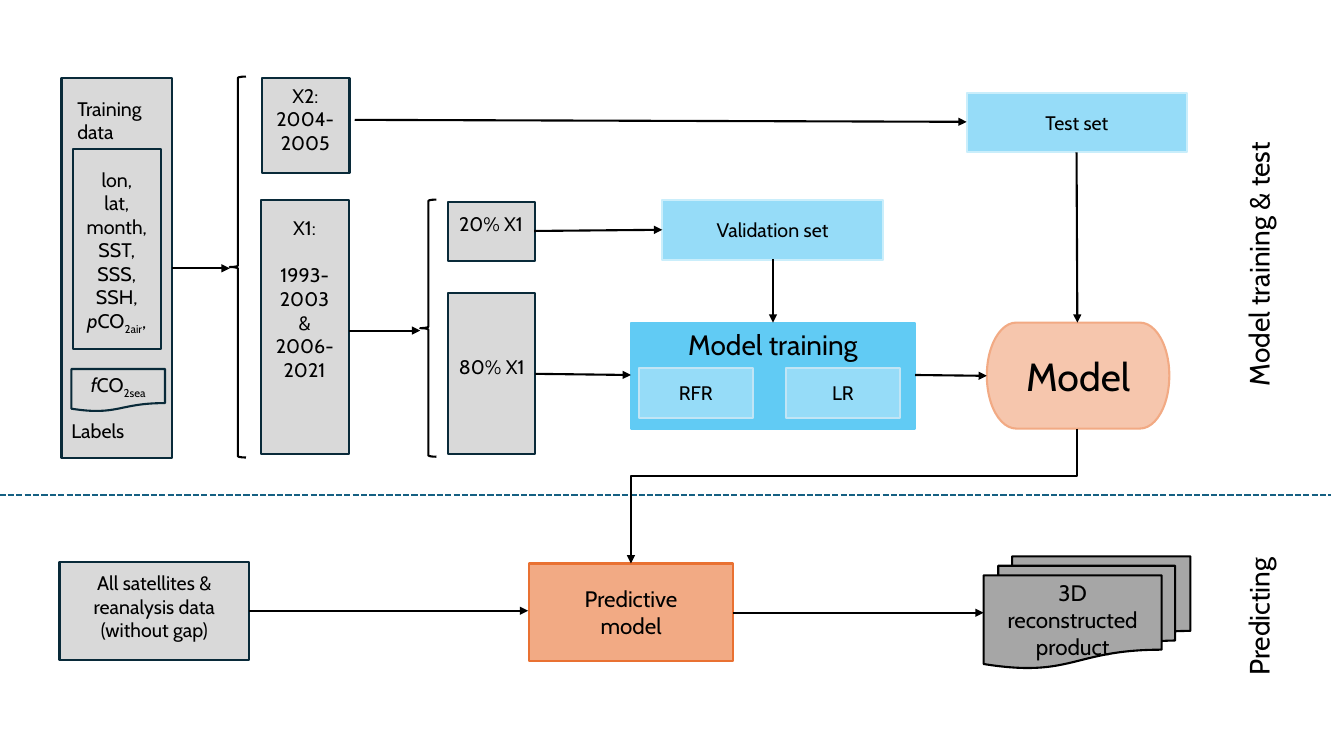
from lxml import etree
from pptx import Presentation
from pptx import util as u
from pptx.dml.color import RGBColor
from pptx.enum import dml, shapes, text
from pptx.oxml.ns import qn

S = shapes.MSO_SHAPE
THEME = {
    "font": "Cabin", "ink": "000000", "line": 1.5,
    "small": 14, "medium": 16, "large": 20, "huge": 28,
    # fill, outline
    "data": ("D9D9D9", "092A39"), "outline": (None, "092A39"),
    "set": ("96DCF8", "CAEEFB"), "method": ("96DCF8", "C1E5F5"),
    "training": ("61CBF4", "61CBF4"), "model": ("F6C6AD", "F2AA84"),
    "predictive": ("F2AA84", "E97132"), "product": ("A6A6A6", "000000"),
    "brace": (None, "000000"), "divider": "156082",
}

# Content, lengths in cm
# preset, (left, top, width, height), style, size, paragraphs
NODES = [
    (S.FLOWCHART_PROCESS, (1.55, 1.96, 2.79, 9.58), "data", "small", []),
    (S.RECTANGLE, (1.85, 3.76, 2.21, 5.03), "outline", "small", []),
    (S.FLOWCHART_DOCUMENT, (1.8, 9.3, 2.36, 1.07), "outline", "small",
     [[("f", "italic"), ("CO", ""), ("2sea", "sub")]]),
    (S.RECTANGLE, (6.58, 5.05, 2.21, 6.4), "data", "small", []),
    (S.RECTANGLE, (6.6, 1.96, 2.21, 2.41), "data", "small", []),
    (S.RECTANGLE, (11.28, 5.08, 2.21, 1.5), "data", "small", []),
    (S.RECTANGLE, (11.28, 7.39, 2.21, 4.06), "data", "small", []),
    (S.FLOWCHART_TERMINATOR, (24.87, 8.13, 4.6, 2.67), "model", "huge", ["Model"]),
    (S.RECTANGLE, (15.9, 8.13, 7.16, 2.67), "training", "large", ["Model training"]),
    (S.FLOWCHART_PROCESS, (16.1, 9.27, 2.87, 1.27), "method", "small", ["RFR"]),
    (S.FLOWCHART_PROCESS, (19.81, 9.27, 2.87, 1.27), "method", "small", ["LR"]),
    (S.RECTANGLE, (16.69, 5.05, 5.56, 1.5), "set", "small", ["Validation set"]),
    (S.RECTANGLE, (24.36, 2.34, 5.56, 1.5), "set", "small", ["Test set"]),
    (S.RECTANGLE, (13.34, 14.2, 5.13, 2.46), "predictive", "medium", ["Predictive", "model"]),
    (S.RECTANGLE, (1.5, 14.17, 4.78, 2.46), "data", "small", []),
    (S.FLOWCHART_MULTIDOCUMENT, (24.79, 14.02, 5.21, 2.82), "product", "medium",
     ["3D reconstructed product"]),
    (S.LEFT_BRACE, (5.79, 1.93, 0.41, 9.6), "brace", "small", []),
    (S.LEFT_BRACE, (10.59, 5.03, 0.41, 6.48), "brace", "small", []),
]
# (left, top, width, height), paragraphs
CENTRED_CAPTIONS = [
    ((1.7, 4.1, 2.49, 4.45),
     ["lon,", "lat,", "month,", "SST,", "SSS,", "SSH,",
      [("p", "italic"), ("CO", ""), ("2air", "sub"), (",", "")]]),
    ((6.43, 5.32, 2.49, 4.45), ["X1:", "1993-2003", "&", "2006-2021"]),
    ((6.45, 1.98, 2.49, 2.06), ["X2:", "2004-", "2005"]),
    ((11.13, 5.21, 2.49, 0.86), ["20% X1"]),
    ((11.15, 8.81, 2.49, 0.86), ["80% X1"]),
    ((1.5, 14.27, 4.78, 2.06), ["All satellites & reanalysis data (without gap)"]),
]
# (left, top, width, height), size, rotation, paragraphs
LEFT_CAPTIONS = [
    ((1.7, 2.31, 2.18, 1.45), "small", 0, ["Training", "data"]),
    ((1.55, 10.44, 1.96, 0.86), "small", 0, ["Labels"]),
    ((28.32, 6.02, 6.81, 1.12), "large", 270, ["Model training & test"]),
    ((29.92, 14.91, 3.61, 1.12), "large", 270, ["Predicting"]),
]
# from x, from y, to x, to y
ARROWS = [
    (8.94, 3.02, 24.36, 3.07), (27.13, 3.84, 27.15, 8.13),
    (6.28, 15.39, 13.31, 15.39), (18.47, 15.44, 24.79, 15.44),
    (13.46, 5.82, 16.69, 5.79), (13.49, 9.42, 15.9, 9.45),
    (23.06, 9.45, 24.87, 9.47), (19.48, 6.53, 19.48, 8.13),
    (4.34, 6.76, 5.79, 6.76), (8.79, 8.33, 10.59, 8.33),
]
MODEL_TO_PREDICTIVE = (27.15, 10.8, 15.9, 14.2)
BEND = 0.35
DIVIDER = (-0.23, 12.47, 33.53, 12.47)

prs = Presentation()
prs.slide_width, prs.slide_height = u.Cm(33.87), u.Cm(19.05)
slide = prs.slides.add_slide(prs.slide_layouts[6])


def cm(lengths):
    return [u.Cm(v) for v in lengths]


def rgb(name):
    return RGBColor.from_string(name)


def write(tf, paragraphs, size, align):
    for i, runs in enumerate(paragraphs):
        p = tf.paragraphs[0] if i == 0 else tf.add_paragraph()
        p.alignment = align
        p.font.name, p.font.size = THEME["font"], u.Pt(THEME[size])
        p.font.color.rgb = rgb(THEME["ink"])
        for part, style in [(runs, "")] if isinstance(runs, str) else runs:
            r = p.add_run()
            r.text = part
            if style == "italic":
                r.font.italic = True
            elif style == "sub":
                r.font._element.set("baseline", "-25000")


def add_caption(box, paragraphs, size, align, wrap):
    sp = slide.shapes.add_textbox(*cm(box))
    tf = sp.text_frame
    tf.word_wrap = wrap
    tf.auto_size = text.MSO_AUTO_SIZE.SHAPE_TO_FIT_TEXT
    write(tf, paragraphs, size, align)
    return sp


def add_line(kind, ends, color, arrow=True):
    line = slide.shapes.add_connector(kind, *cm(ends))
    line.line.color.rgb = rgb(color)
    line.line.width = u.Pt(THEME["line"])
    if arrow:
        etree.SubElement(line.line._get_or_add_ln(), qn("a:tailEnd"), type="triangle")
    etree.SubElement(line._element.spPr, qn("a:effectLst"))
    return line


# Boxes and braces
for preset, box, style, size, paragraphs in NODES:
    sp = slide.shapes.add_shape(preset, *cm(box))
    sp.shadow.inherit = False
    fill, outline = THEME[style]
    if fill:
        sp.fill.solid()
        sp.fill.fore_color.rgb = rgb(fill)
    else:
        sp.fill.background()
    sp.line.color.rgb = rgb(outline)
    sp.line.width = u.Pt(THEME["line"])
    tf = sp.text_frame
    tf.word_wrap = True
    tf.vertical_anchor = text.MSO_ANCHOR.TOP if style == "training" else text.MSO_ANCHOR.MIDDLE
    write(tf, paragraphs, size, text.PP_ALIGN.CENTER)

# Captions
for box, paragraphs in CENTRED_CAPTIONS:
    sp = add_caption(box, paragraphs, "small", text.PP_ALIGN.CENTER, True)
    if paragraphs[0] == "X1:":
        sp.text_frame.paragraphs[1].space_before = u.Pt(17)
for box, size, rotation, paragraphs in LEFT_CAPTIONS:
    add_caption(box, paragraphs, size, text.PP_ALIGN.LEFT, False).rotation = rotation

# Arrows and divider
for ends in ARROWS:
    add_line(shapes.MSO_CONNECTOR.STRAIGHT, ends, THEME["ink"])
divider = add_line(shapes.MSO_CONNECTOR.STRAIGHT, DIVIDER, THEME["divider"], arrow=False)
divider.line.dash_style = dml.MSO_LINE.SQUARE_DOT

# Elbow leaving the model downwards: drawn sideways about its centre, then turned 90°
x1, y1, x2, y2 = MODEL_TO_PREDICTIVE
mid_x, mid_y = (x1 + x2) / 2, (y1 + y2) / 2
half_w, half_h = (y2 - y1) / 2, (x1 - x2) / 2
elbow = add_line(shapes.MSO_CONNECTOR.ELBOW,
                 (mid_x - half_w, mid_y - half_h, mid_x + half_w, mid_y + half_h),
                 THEME["ink"])
elbow._element.spPr.find(qn("a:xfrm")).set("rot", str(90 * 60000))
guides = elbow._element.spPr.find(qn("a:prstGeom")).find(qn("a:avLst"))
etree.SubElement(guides, qn("a:gd"), name="adj1", fmla=f"val {round(BEND * 100000)}")

prs.save("out.pptx")
